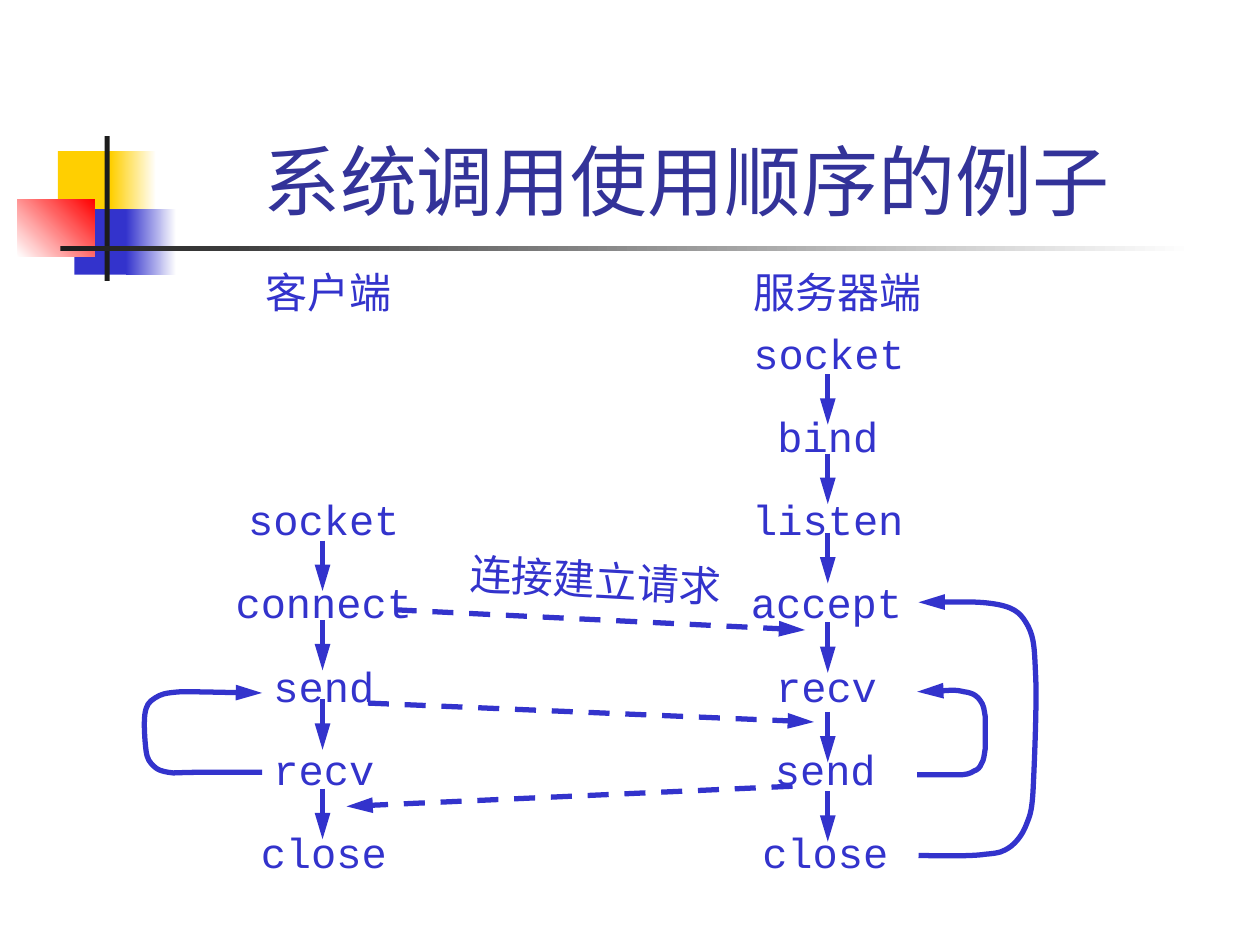
import lxml.etree
import pptx
import pptx.dml.color
import pptx.enum.dml
import pptx.enum.shapes
import pptx.enum.text
import pptx.oxml.ns
import pptx.util

PX = 9144
RGB = pptx.dml.color.RGBColor.from_string
ALIGN = pptx.enum.text.PP_ALIGN
qn = pptx.oxml.ns.qn
THEME = {
    "blue": RGB("3333CC"), "title": RGB("333399"), "yellow": RGB("FFCF01"),
    "red": RGB("FF0000"), "dark": RGB("1C1C1C"), "white": RGB("FFFFFF"),
    "sans": "Arial", "mono": "Courier New",
    "title_size": pptx.util.Pt(44), "body_size": pptx.util.Pt(24),
    "line": pptx.util.Pt(3),
}

prs = pptx.Presentation()
prs.slide_width, prs.slide_height = 1000 * PX, 750 * PX
shapes = prs.slides.add_slide(prs.slide_layouts[6]).shapes


def add_text(text, x, y, w, font="mono", align=ALIGN.CENTER):
    sp = shapes.add_textbox(x * PX, y * PX, w * PX, 50 * PX)
    tf = sp.text_frame
    tf.word_wrap = False
    tf.auto_size = pptx.enum.text.MSO_AUTO_SIZE.SHAPE_TO_FIT_TEXT
    p = tf.paragraphs[0]
    p.text = text
    p.alignment = align
    p.font.name = THEME[font]
    p.font.size = THEME["body_size"]
    p.font.color.rgb = THEME["blue"]
    return sp


def style_arrow(sp, dash=None):
    sp.line.color.rgb = THEME["blue"]
    sp.line.width = THEME["line"]
    sp.line.dash_style = dash
    spPr = sp._element.spPr
    lxml.etree.SubElement(spPr.find(qn("a:ln")), qn("a:tailEnd"), type="triangle", len="lg")
    lxml.etree.SubElement(spPr, qn("a:effectLst"))


decor = [
    (46, 120, 48, 52, ["yellow"], 0),
    (88, 120, 36, 52, ["yellow", "white"], 0),
    (59, 166, 46, 52, ["blue"], 0),
    (100, 166, 40, 52, ["blue", "white"], 0),
    (14, 158, 61, 46, ["white", "red"], 45),
    (83, 108, 4, 115, ["dark"], 0),
    (48, 195, 900, 4, ["dark", "white"], 0),
]
for x, y, w, h, colors, angle in decor:
    sp = shapes.add_shape(pptx.enum.shapes.MSO_SHAPE.RECTANGLE, x * PX, y * PX, w * PX, h * PX)
    sp.shadow.inherit = False
    sp.line.fill.background()
    if len(colors) == 1:
        sp.fill.solid()
        sp.fill.fore_color.rgb = THEME[colors[0]]
    else:
        sp.fill.gradient()
        sp.fill.gradient_angle = angle
        for stop, color in zip(sp.fill.gradient_stops, colors):
            stop.color.rgb = THEME[color]

sp = shapes.add_textbox(126 * PX, 24 * PX, 852 * PX, 160 * PX)
tf = sp.text_frame
tf.word_wrap = True
tf.vertical_anchor = pptx.enum.text.MSO_ANCHOR.BOTTOM
p = tf.paragraphs[0]
p.text = "系统调用使用顺序的例子 "
p.alignment = ALIGN.CENTER
p.font.name = THEME["sans"]
p.font.size = THEME["title_size"]
p.font.color.rgb = THEME["title"]

add_text("服务器端", 588, 207, 153, "sans", ALIGN.LEFT)
add_text("客户端", 201, 207, 120, "sans", ALIGN.LEFT)
sp = add_text("连接建立请求", 363, 435, 220, "sans", ALIGN.LEFT)
sp.rotation = 3.1

first_row, row_step, char_width = 255, 66, 20
server = ["socket", "bind", "listen", "accept", "recv", "send", "close"]
client = ["socket", "connect", "send", "recv", "close"]
for i, call in enumerate(server):
    w = char_width * (len(call) + 1)
    add_text(call, 658 - (i + 1) // 2 - w // 2, first_row + i * row_step, w)
for i, call in enumerate(client, len(server) - len(client)):
    w = char_width * (len(call) + 1)
    add_text(call, 257 - w // 2, first_row + i * row_step, w)

dash = pptx.enum.dml.MSO_LINE.DASH
arrows = [(657, y, 657, y + 40, None) for y in (297, 360, 423, 494, 565, 628)]
arrows += [(256, y, 256, y + 40, None) for y in (429, 492, 555, 626)]
arrows += [
    (292, 558, 646, 573, dash),
    (629, 624, 275, 640, dash),
    (314, 484, 639, 500, dash),
]
for x1, y1, x2, y2, dash_style in arrows:
    sp = shapes.add_connector(pptx.enum.shapes.MSO_CONNECTOR.STRAIGHT,
                              x1 * PX, y1 * PX, x2 * PX, y2 * PX)
    style_arrow(sp, dash_style)

loops = [
    [(208, 613), (199, 613), (166, 613), (154, 613), (141, 613), (139, 614), (134, 613),
     (128, 612), (125, 611), (122, 608), (119, 605), (117, 603), (116, 596),
     (115, 589), (114, 574), (115, 567), (116, 560), (118, 557), (123, 554),
     (128, 551), (130, 550), (144, 549), (158, 549), (194, 550), (208, 550)],
    [(728, 615), (734, 615), (752, 615), (760, 615), (767, 615), (770, 614), (773, 612),
     (776, 611), (778, 609), (779, 606), (781, 603), (781, 600), (782, 594),
     (782, 588), (782, 575), (782, 569), (781, 563), (781, 560), (778, 556),
     (776, 553), (773, 550), (765, 549), (757, 547), (736, 549), (728, 549)],
    [(729, 679), (738, 679), (770, 680), (782, 678), (794, 677), (796, 676), (802, 672),
     (807, 668), (811, 663), (814, 656), (817, 648), (819, 646), (820, 626),
     (821, 606), (823, 558), (822, 537), (821, 515), (821, 507), (816, 497),
     (811, 488), (807, 483), (793, 480), (778, 477), (742, 478), (729, 478)],
]
for knots in loops:
    points = [(x * PX, y * PX) for x, y in knots]
    fb = shapes.build_freeform(*points[0])
    fb.add_line_segments(points[3::3], close=False)
    sp = fb.convert_to_shape()
    sp.fill.background()
    style_arrow(sp)
    for k, segment in enumerate(list(sp._element.iter(qn("a:lnTo")))):
        curve = lxml.etree.Element(qn("a:cubicBezTo"))
        for x, y in points[3 * k + 1:3 * k + 4]:
            lxml.etree.SubElement(curve, qn("a:pt"), x=str(x - sp.left), y=str(y - sp.top))
        segment.getparent().replace(segment, curve)

prs.save("out.pptx")
